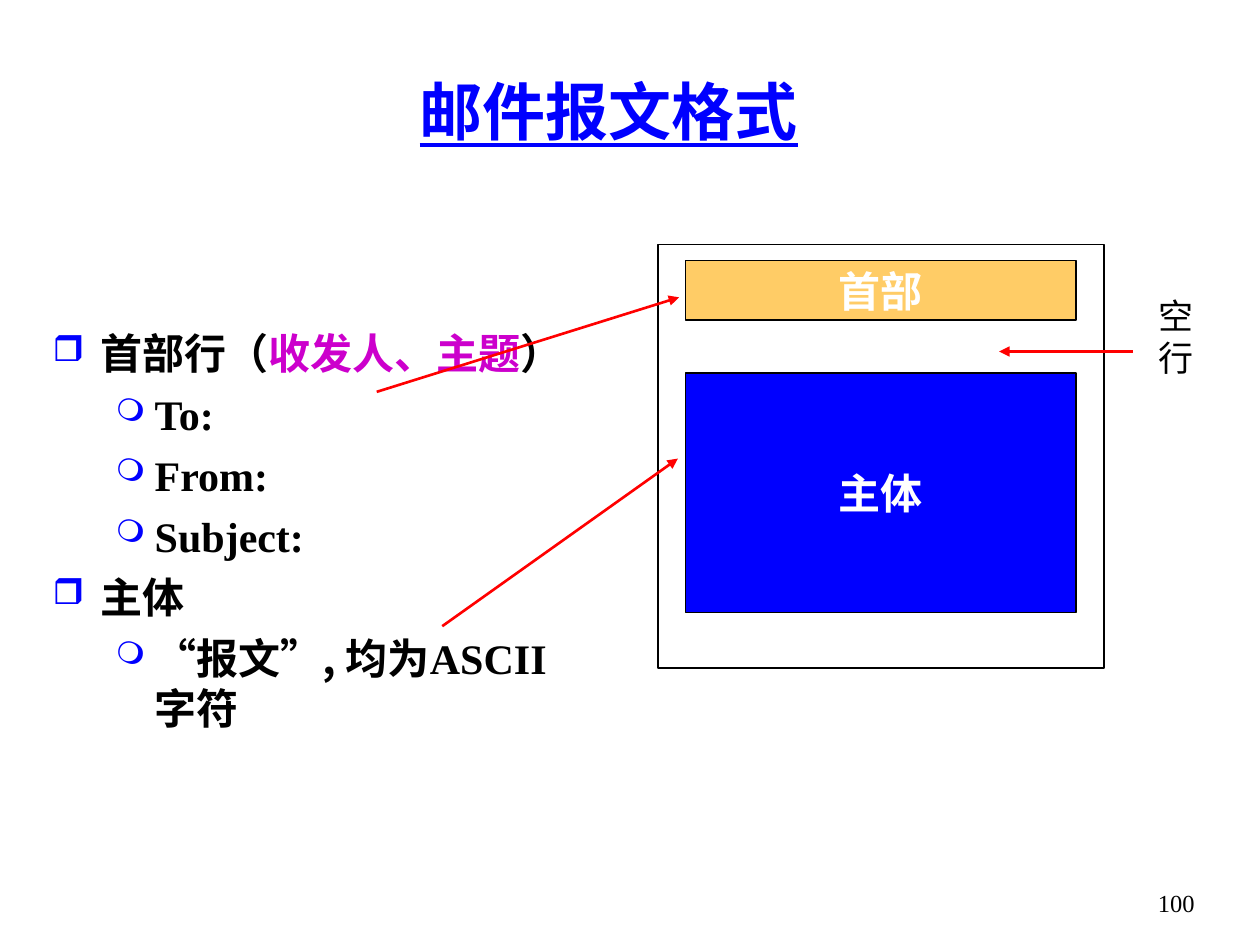
from pptx import Presentation
from pptx.dml.color import RGBColor
from pptx.enum.shapes import MSO_CONNECTOR, MSO_SHAPE
from pptx.enum.text import MSO_ANCHOR, PP_ALIGN
from pptx.oxml.ns import qn
from pptx.util import Inches, Pt
from lxml import etree

RECT = MSO_SHAPE.RECTANGLE
STRAIGHT = MSO_CONNECTOR.STRAIGHT
TOP, MIDDLE = MSO_ANCHOR.TOP, MSO_ANCHOR.MIDDLE
LEFT, CENTER, RIGHT = PP_ALIGN.LEFT, PP_ALIGN.CENTER, PP_ALIGN.RIGHT
SERIF, ROUND, CJK = "Times New Roman", "Comic Neue", "Noto Sans CJK SC"
COLORS = {"blue": "0000FF", "black": "000000", "white": "FFFFFF",
          "orange": "FFCC66", "purple": "CC00CC", "red": "FF0000"}
BULLETS = [("❒", 85, 0.38, 0.38), ("❍", 75, 0.81, 0.31)]
OUTLINE = [
    (0, [("首部行（", "black", SERIF), ("收发人、主题", "purple", SERIF),
         ("）", "black", SERIF)]),
    (1, [("To:", "black", SERIF)]),
    (1, [("From:", "black", SERIF)]),
    (1, [("Subject:", "black", SERIF)]),
    (0, [("主体", "black", SERIF)]),
    (1, [("“报文”, ", "black", CJK), ("均为ASCII 字符", "black", SERIF)]),
]


def rgb(name):
    """Return the named colour."""
    return RGBColor.from_string(COLORS[name])


def format_run(r, size, color, font, bold=False):
    """Set the size, colour and fonts of a run."""
    r.font.size = Pt(size)
    r.font.bold = bold
    r.font.name = font
    r.font.color.rgb = rgb(color)
    ea = etree.SubElement(r._r.get_or_add_rPr(), qn("a:ea"))
    ea.set("typeface", CJK)


def add_text(s, box, text, size, color, font, align=CENTER, anchor=TOP,
             bold=False, wrap=True):
    """Add a one-line text box and return its run."""
    tf = s.shapes.add_textbox(*map(Inches, box)).text_frame
    tf.word_wrap = wrap
    tf.vertical_anchor = anchor
    p = tf.paragraphs[0]
    p.text = text
    p.alignment = align
    format_run(p.runs[0], size, color, font, bold)
    return p.runs[0]


def add_bullet(p, level):
    """Give a paragraph the bullet and indent of its level."""
    char, size, margin, hang = BULLETS[level]
    pPr = p._p.get_or_add_pPr()
    pPr.set("marL", str(Inches(margin)))
    pPr.set("indent", str(-Inches(hang)))
    color = etree.SubElement(pPr, qn("a:buClr"))
    etree.SubElement(color, qn("a:srgbClr")).set("val", COLORS["blue"])
    etree.SubElement(pPr, qn("a:buSzPct")).set("val", str(size * 1000))
    etree.SubElement(pPr, qn("a:buChar")).set("char", char)


def add_outline(s, box):
    """Add the bulleted list of message parts."""
    tf = s.shapes.add_textbox(*map(Inches, box)).text_frame
    tf.word_wrap = True
    for i, (level, parts) in enumerate(OUTLINE):
        p = tf.add_paragraph() if i else tf.paragraphs[0]
        p.level = level
        p.alignment = LEFT
        p.space_before = Pt(6 if i else 0)
        add_bullet(p, level)
        for text, color, font in parts:
            r = p.add_run()
            r.text = text
            format_run(r, 24, color, font, True)


def add_rect(s, box, fill=None, width=0.75, label=""):
    """Add an outlined rectangle with an optional fill and label."""
    sp = s.shapes.add_shape(RECT, *map(Inches, box))
    sp.shadow.inherit = False
    sp.line.color.rgb = rgb("black")
    sp.line.width = Pt(width)
    if fill:
        sp.fill.solid()
        sp.fill.fore_color.rgb = rgb(fill)
    else:
        sp.fill.background()
    if label:
        tf = sp.text_frame
        tf.word_wrap = False
        tf.vertical_anchor = MIDDLE
        p = tf.paragraphs[0]
        p.text = label
        p.alignment = CENTER
        format_run(p.runs[0], 24, "white", ROUND, True)


def add_message(s, box):
    """Draw the message frame with its header and body blocks."""
    x, y, w, _ = box
    inset = 0.22
    inner = w - 2 * inset
    add_rect(s, (x + inset, y + 0.13, inner, 0.47), "orange", label="首部")
    add_rect(s, (x + inset, y + 1.02, inner, 1.9), "blue", label="主体")
    add_rect(s, box, width=1)


def add_arrow(s, start, end):
    """Draw a red arrow from start to end."""
    cx = s.shapes.add_connector(STRAIGHT, *map(Inches, start + end))
    cx.line.color.rgb = rgb("red")
    cx.line.width = Pt(1.5)
    ln = cx.line._get_or_add_ln()
    etree.SubElement(ln, qn("a:tailEnd")).set("type", "triangle")
    etree.SubElement(cx._element.spPr, qn("a:effectLst"))


def main():
    """Build the slide and save it."""
    prs = Presentation()
    prs.slide_width, prs.slide_height = Inches(10), Inches(7.5)
    s = prs.slides.add_slide(prs.slide_layouts[6])
    title = add_text(s, (0.58, 0.25, 8.5, 1.25), "邮件报文格式", 36, "blue",
                     SERIF, anchor=MIDDLE, bold=True)
    title.font.underline = True
    add_outline(s, (0.32, 2.55, 4.33, 3.75))
    add_message(s, (5.22, 1.94, 3.54, 3.36))
    add_text(s, (8.96, 2.29, 0.75, 0.44), "空行", 20, "black", ROUND,
             wrap=False)
    for start, end in [((2.99, 3.11), (5.39, 2.36)),
                       ((3.51, 4.97), (5.38, 3.64)),
                       ((8.99, 2.79), (7.93, 2.79))]:
        add_arrow(s, start, end)
    add_text(s, (9.08, 7, 0.5, 0.5), "100", 14, "black", SERIF, RIGHT)
    prs.save("out.pptx")


if __name__ == "__main__":
    main()
